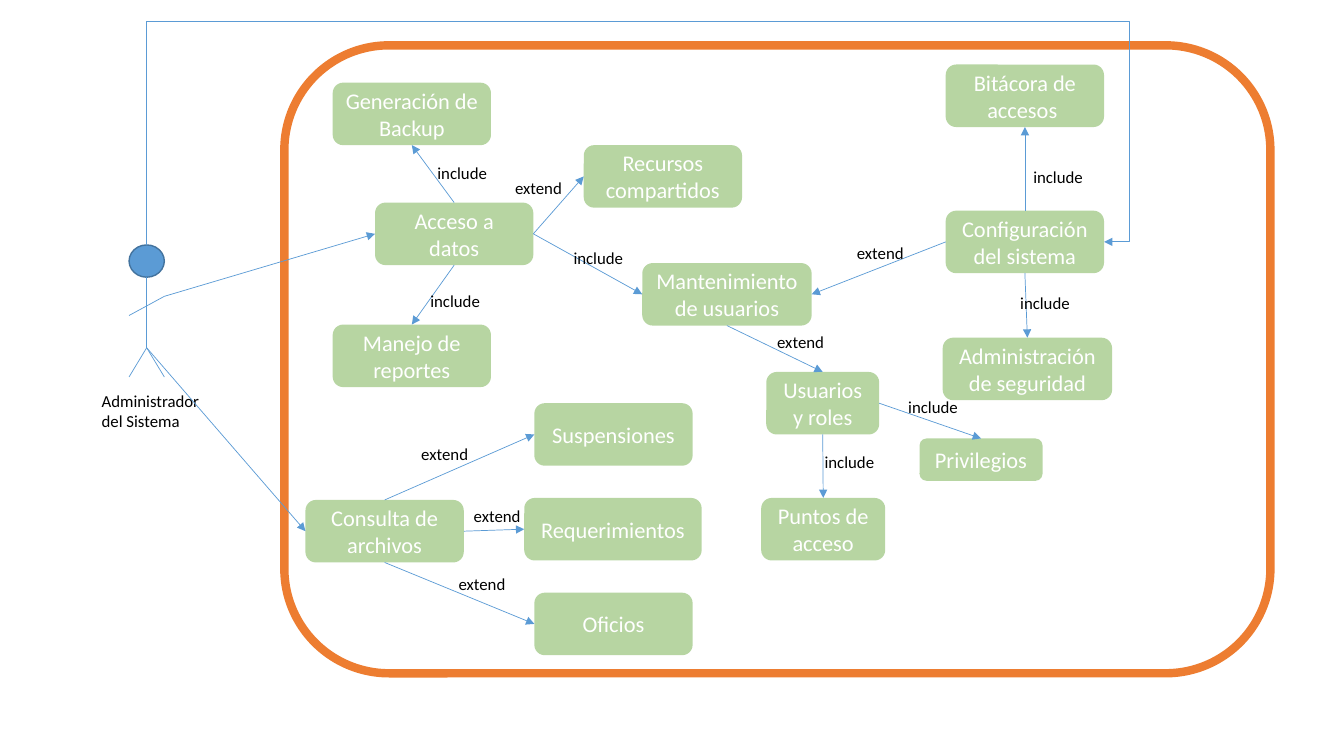
import pptx
import pptx.util
import pptx.dml.color
import pptx.enum.shapes
import pptx.enum.text
import pptx.oxml.ns
import lxml.etree

Inches = pptx.util.Inches
Pt = pptx.util.Pt
SHAPES = pptx.enum.shapes.MSO_SHAPE
CONNECTORS = pptx.enum.shapes.MSO_CONNECTOR
ALIGN = pptx.enum.text.PP_ALIGN
qn = pptx.oxml.ns.qn

COLORS = {
    "line": "5B9BD5",
    "head_edge": "43739E",
    "frame": "ED7D31",
    "use_case": "70AD47",
    "light": "FFFFFF",
    "dark": "000000",
}
FONT = "Calibri"
TOP, LEFT, BOTTOM, RIGHT = range(4)

USE_CASES = {
    "backup": ("Generación de Backup", 0.48, 0.37, 1.57, 0.62),
    "data": ("Acceso a datos", 0.9, 1.56, 1.57, 0.62),
    "reports": ("Manejo de reportes", 0.48, 2.77, 1.57, 0.62),
    "users": ("Mantenimiento de usuarios", 3.55, 2.16, 1.68, 0.62),
    "shared": ("Recursos compartidos", 2.97, 0.99, 1.57, 0.62),
    "files": ("Consulta de archivos", 0.21, 4.51, 1.57, 0.62),
    "suspensions": ("Suspensiones", 2.48, 3.55, 1.57, 0.62),
    "requests": ("Requerimientos", 2.38, 4.49, 1.76, 0.62),
    "letters": ("Oficios", 2.48, 5.43, 1.57, 0.62),
    "setup": ("Configuración del sistema", 6.56, 1.64, 1.57, 0.62),
    "security": ("Administración de seguridad", 6.53, 2.9, 1.68, 0.62),
    "log": ("Bitácora de accesos ", 6.56, 0.19, 1.57, 0.62),
    "roles": ("Usuarios y roles", 4.78, 3.24, 1.12, 0.62),
    "privileges": ("Privilegios", 6.3, 3.9, 1.22, 0.42),
    "points": ("Puntos de acceso", 4.73, 4.49, 1.23, 0.62),
}

RELATIONS = [
    ("data", RIGHT, "shared", LEFT, "extend", 2.19, 1.26),
    ("data", RIGHT, "users", LEFT, "include", 2.77, 1.96),
    ("data", TOP, "backup", BOTTOM, "include", 1.42, 1.12),
    ("data", BOTTOM, "reports", TOP, "include", 1.35, 2.39),
    ("files", TOP, "suspensions", LEFT, "extend", 1.26, 3.9),
    ("files", RIGHT, "requests", LEFT, "extend", 1.78, 4.52),
    ("files", BOTTOM, "letters", LEFT, "extend", 1.63, 5.19),
    ("setup", LEFT, "users", RIGHT, "extend", 5.58, 1.91),
    ("setup", TOP, "log", BOTTOM, "include", 7.33, 1.16),
    ("setup", BOTTOM, "security", TOP, "include", 7.2, 2.41),
    ("users", BOTTOM, "roles", TOP, "extend", 4.79, 2.79),
    ("roles", RIGHT, "privileges", TOP, "include", 6.09, 3.44),
    ("roles", BOTTOM, "points", TOP, "include", 5.26, 3.98),
]


def rgb(name):
    return pptx.dml.color.RGBColor.from_string(COLORS[name])


def write(frame, text, size, color):
    frame.word_wrap = True
    span = frame.paragraphs[0].add_run()
    span.text = text
    span.font.name = FONT
    span.font.size = Pt(size)
    span.font.color.rgb = rgb(color)


def draw_shape(page, kind, left, top, width, height, fill=None, edge=None, weight=1):
    shape = page.shapes.add_shape(kind, Inches(left), Inches(top), Inches(width), Inches(height))
    shape.shadow.inherit = False
    if fill:
        shape.fill.solid()
        shape.fill.fore_color.rgb = rgb(fill)
    else:
        shape.fill.background()
    if edge:
        shape.line.color.rgb = rgb(edge)
        shape.line.width = Pt(weight)
    else:
        shape.line.fill.background()
    return shape


def draw_line(page, start, end, arrow=False, kind=CONNECTORS.STRAIGHT):
    line = page.shapes.add_connector(kind, *(Inches(value) for value in (*start, *end)))
    line.line.color.rgb = rgb("line")
    line.line.width = Pt(0.5)
    if arrow:
        outline = line.line._get_or_add_ln()
        lxml.etree.SubElement(outline, qn("a:tailEnd"), type="triangle")
    lxml.etree.SubElement(line._element.spPr, qn("a:effectLst"))
    return line


def draw_label(page, text, left, top, width, height):
    box = page.shapes.add_textbox(Inches(left), Inches(top), Inches(width), Inches(height))
    write(box.text_frame, text, 12, "dark")
    box.text_frame.auto_size = pptx.enum.text.MSO_AUTO_SIZE.SHAPE_TO_FIT_TEXT


def draw_use_case(page, text, left, top, width, height):
    box = draw_shape(page, SHAPES.ROUNDED_RECTANGLE, left, top, width, height, "use_case")
    color = box._element.spPr.find(qn("a:solidFill"))[0]
    lxml.etree.SubElement(color, qn("a:alpha"), val="50000")
    write(box.text_frame, text, 16, "light")
    box.text_frame.vertical_anchor = pptx.enum.text.MSO_ANCHOR.MIDDLE
    box.text_frame.paragraphs[0].alignment = ALIGN.CENTER
    return box


def draw_actor(page, left, top, width, height):
    middle, right, bottom = left + width / 2, left + width, top + height
    head, hand, hip = (middle, top), (right, top + 0.51), (middle, top + 1.02)
    draw_shape(page, SHAPES.OVAL, left, top, width, 0.32, "line", "head_edge")
    draw_line(page, (middle, top + 0.32), hip)
    for foot in (left, right):
        draw_line(page, hip, (foot, bottom))
    draw_line(page, (left, top + 0.7), hand)
    draw_label(page, "Administrador del Sistema", left - 0.37, top + 1.4, 1.2, 0.5)
    return head, hand, hip


def draw_system(page, left, top, width, height):
    draw_shape(page, SHAPES.ROUNDED_RECTANGLE, left, top, width, height, edge="frame", weight=6)
    cases = {
        key: draw_use_case(page, text, left + x, top + y, wide, high)
        for key, (text, x, y, wide, high) in USE_CASES.items()
    }
    for source, leaving, target, entering, word, x, y in RELATIONS:
        line = draw_line(page, (left, top), (left + 1, top + 1), True)
        line.begin_connect(cases[source], leaving)
        line.end_connect(cases[target], entering)
        draw_label(page, word, left + x, top + y, 0.73, 0.3)
    return cases


def draw_overhead_link(page, start, end, ceiling, far_right):
    span, drop = end[0] - start[0], start[1] - end[1]
    center_x, center_y = (start[0] + end[0]) / 2, (start[1] + end[1]) / 2
    line = draw_line(
        page,
        (center_x + drop / 2, center_y + span / 2),
        (center_x - drop / 2, center_y - span / 2),
        True,
        CONNECTORS.ELBOW,
    )
    properties = line._element.spPr
    properties.find(qn("a:xfrm")).set("rot", "5400000")
    geometry = properties.find(qn("a:prstGeom"))
    geometry.set("prst", "bentConnector4")
    guides = geometry.find(qn("a:avLst"))
    if guides is None:
        guides = lxml.etree.SubElement(geometry, qn("a:avLst"))
    ratios = ((start[1] - ceiling) / drop, (far_right - start[0]) / span)
    for number, ratio in enumerate(ratios, 1):
        lxml.etree.SubElement(
            guides, qn("a:gd"), name=f"adj{number}", fmla=f"val {round(ratio * 100000)}"
        )


def draw_diagram(page):
    head, hand, hip = draw_actor(page, 1.28, 2.43, 0.35, 1.31)
    cases = draw_system(page, 2.82, 0.45, 9.78, 6.23)
    for start, key in ((hand, "data"), (hip, "files")):
        line = draw_line(page, start, hip, True)
        line.end_connect(cases[key], LEFT)
    setup = cases["setup"]
    entry = ((setup.left + setup.width).inches if hasattr(setup.left + setup.width, "inches")
             else (setup.left + setup.width) / Inches(1),
             (setup.top + setup.height / 2) / Inches(1))
    draw_overhead_link(page, head, entry, 0.21, 11.2)


def main():
    deck = pptx.Presentation()
    deck.slide_width, deck.slide_height = Inches(13.33), Inches(7.5)
    page = deck.slides.add_slide(deck.slide_layouts[6])
    draw_diagram(page)
    deck.save("out.pptx")


if __name__ == "__main__":
    main()
